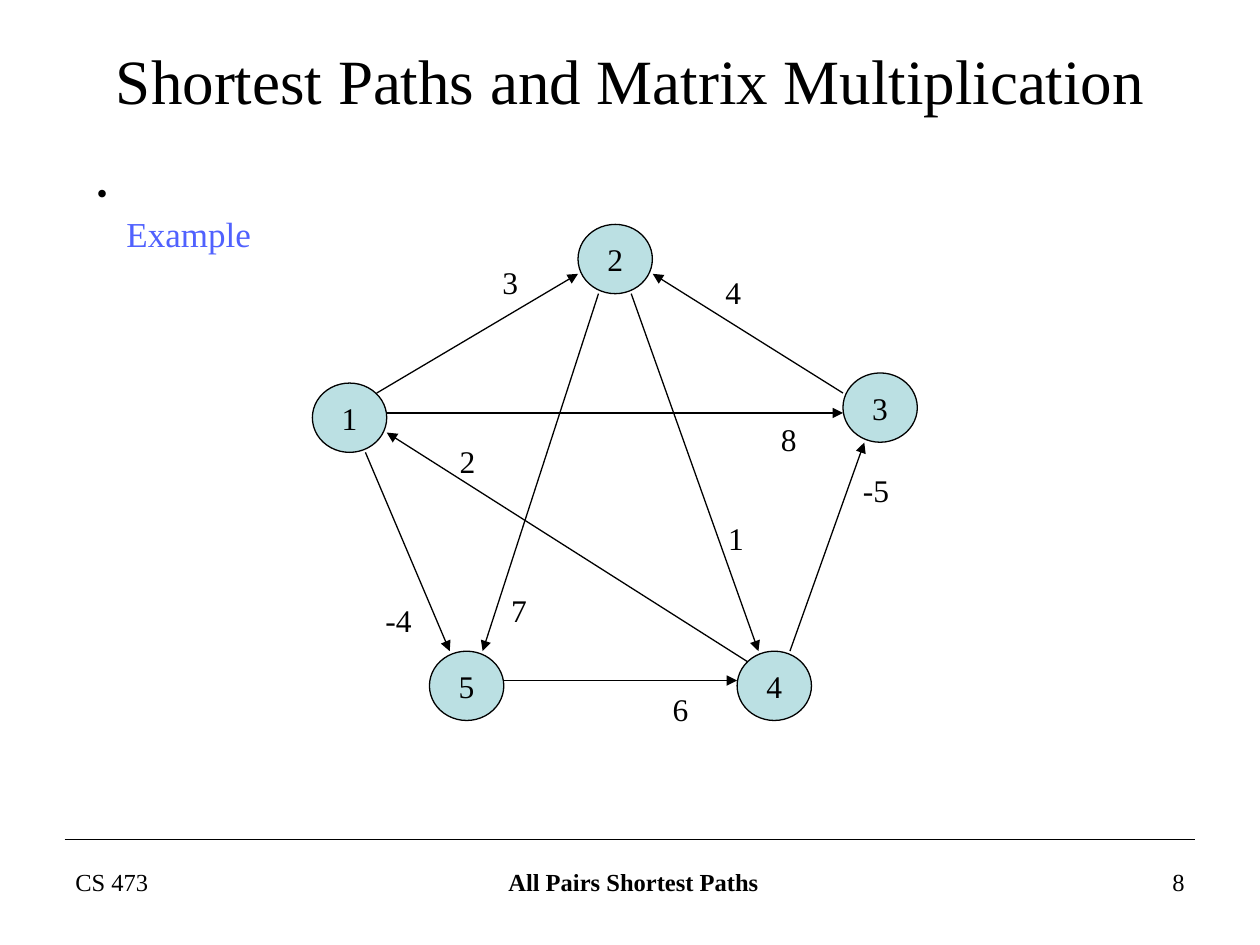
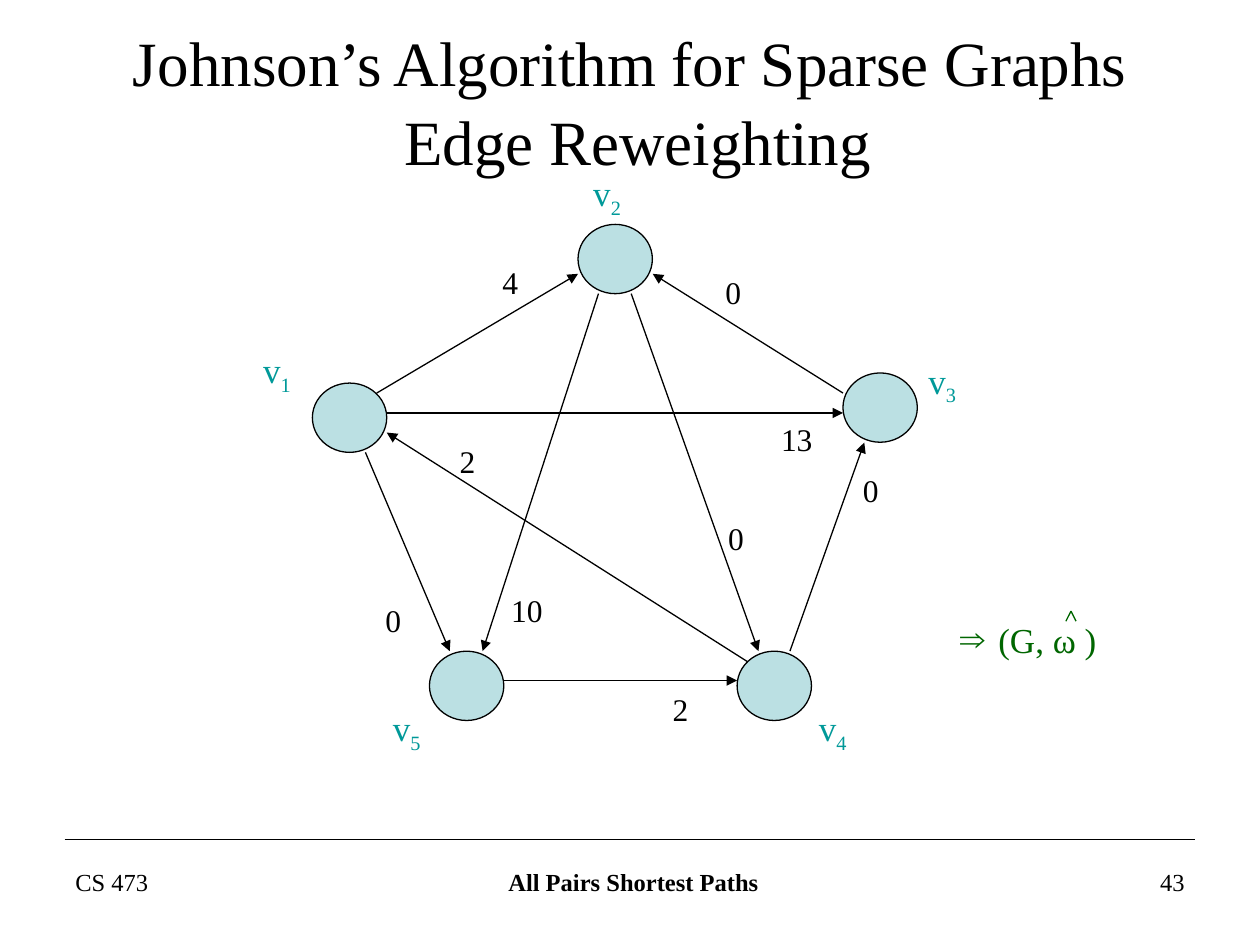
"""Build two slides showing weighted directed graphs for all-pairs shortest paths."""
from dataclasses import dataclass

from lxml import etree
from pptx import Presentation
from pptx.dml.color import RGBColor
from pptx.enum import shapes, text
from pptx.oxml import ns
from pptx.util import Pt


@dataclass(frozen=True)
class Theme:
    font: str = "Times New Roman"
    ink: str = "000000"
    node: str = "BBE0E3"
    example: str = "5061FE"
    vertex: str = "009999"
    result: str = "006600"
    title_size: int = 36
    lead_size: int = 28
    note_size: int = 20
    graph_size: int = 18
    footer_size: int = 14
    line_width: float = 0.75


theme = Theme()
LEFT, CENTER, RIGHT = text.PP_ALIGN.LEFT, text.PP_ALIGN.CENTER, text.PP_ALIGN.RIGHT


def write(slide, box, runs, size, color=theme.ink, align=LEFT, wrap=False, bullet=None):
    """Place a text box; each run is (text, overrides), and "\\n" breaks the line."""
    label = slide.shapes.add_textbox(*map(Pt, box))
    frame = label.text_frame
    frame.word_wrap = wrap
    paragraph = frame.paragraphs[0]
    paragraph.alignment = align
    if bullet:
        props = paragraph._p.get_or_add_pPr()
        props.set("marL", str(Pt(17)))
        props.set("indent", str(-Pt(17)))
        tint = etree.SubElement(props, ns.qn("a:buClr"))
        etree.SubElement(tint, ns.qn("a:srgbClr")).set("val", bullet[1])
        etree.SubElement(props, ns.qn("a:buFont")).set("typeface", theme.font)
        etree.SubElement(props, ns.qn("a:buChar")).set("char", bullet[0])
    for words, changes in runs:
        if words == "\n":
            paragraph.add_line_break()
            continue
        run = paragraph.add_run()
        run.text = words
        run.font.name = theme.font
        run.font.size = Pt(changes.get("size", size))
        run.font.bold = changes.get("bold", False)
        run.font.color.rgb = RGBColor.from_string(color)
        if "baseline" in changes:
            run._r.get_or_add_rPr().set("baseline", str(changes["baseline"]))
    return frame


def draw_line(slide, start, end, color=theme.ink, arrow=False):
    """Draw a thin straight line, with an arrowhead at its end if asked."""
    link = slide.shapes.add_connector(
        shapes.MSO_CONNECTOR.STRAIGHT, *map(Pt, (*start, *end)))
    link.line.width = Pt(theme.line_width)
    link.line.color.rgb = RGBColor.from_string(color)
    if arrow:
        stroke = link.line._get_or_add_ln()
        etree.SubElement(stroke, ns.qn("a:tailEnd")).set("type", "triangle")
    etree.SubElement(link._element.spPr, ns.qn("a:effectLst"))


node_size = (42.5, 39.6)
nodes = {1: (178.5, 218.9), 2: (330.3, 128.2), 3: (481.7, 213.1),
         4: (421.2, 372.1), 5: (245.4, 372.1)}
vertex_labels = {1: (143.3, 195.8), 2: (331.9, 94.3), 3: (523.4, 201.6),
                 4: (460.8, 400.3), 5: (217.4, 400.3)}

# (tail, head): start, end, weight position
edges = {
    (1, 2): ((215.3, 224.6), (330.3, 156.5), (280, 146.9)),
    (3, 2): ((481.7, 224.6), (373, 156.5), (407.5, 152.6)),
    (4, 3): ((451.4, 372.1), (493.9, 252.9), (486, 265.7)),
    (5, 4): ((288, 388.9), (421.2, 388.9), (377.3, 391)),
    (1, 5): ((208.8, 258.5), (257, 372.1), (213.1, 339.8)),
    (2, 5): ((342, 167.8), (275.8, 372.1), (285, 334)),
    (2, 4): ((360.7, 167.8), (433.4, 372.1), (409, 293)),
    (4, 1): ((427, 378), (221, 247.2), (255.6, 249.1)),
    (1, 3): ((221, 236), (481.7, 236), (439.2, 236.2)),
}

pages = [
    dict(number="8", title_box=(25.2, 27.4, 663.1, 33.8), numbered=True,
         title=[(" ", {"size": theme.lead_size}),
                ("Shortest Paths and Matrix Multiplication", {})],
         weights=["3", "4", "-5", "6", "-4", "7", "1", "2", "8"]),
    dict(number="43", title_box=(36, 34.6, 648, 43.9), numbered=False,
         title=[("Johnson’s Algorithm for Sparse Graphs", {}), ("\n", {}),
                (" Edge Reweighting", {})],
         weights=["4", "0", "0", "2", "0", "10", "0", "2", "13"]),
]

deck = Presentation()
deck.slide_width, deck.slide_height = Pt(720), Pt(540)

for page in pages:
    slide = deck.slides.add_slide(deck.slide_layouts[6])

    draw_line(slide, (36.9, 479.7), (683.1, 479.7))
    footers = [
        ((36, 491.8, 167.8, 37.4), [("CS 473", {})], LEFT),
        ((246.2, 491.8, 228.2, 37.4),
         [(" ", {}), ("All Pairs Shortest Paths", {"bold": True})], CENTER),
        ((516.2, 491.8, 167.8, 37.4), [(page["number"], {})], RIGHT),
    ]
    for box, runs, align in footers:
        write(slide, box, runs, theme.footer_size, align=align, wrap=True)

    heading = write(slide, page["title_box"], page["title"], theme.title_size,
                    align=CENTER, wrap=True)
    heading.vertical_anchor = text.MSO_ANCHOR.MIDDLE
    heading.margin_left = heading.margin_right = Pt(0)
    heading.margin_top = heading.margin_bottom = Pt(0)
    heading.paragraphs[0].line_spacing = 1.05

    for vertex, corner in nodes.items():
        circle = slide.shapes.add_shape(
            shapes.MSO_SHAPE.OVAL, *map(Pt, corner + node_size))
        circle.shadow.inherit = False
        circle.fill.solid()
        circle.fill.fore_color.rgb = RGBColor.from_string(theme.node)
        circle.line.color.rgb = RGBColor.from_string(theme.ink)
        circle.line.width = Pt(theme.line_width)
        if page["numbered"]:
            circle.text_frame.word_wrap = False
            circle.text_frame.vertical_anchor = text.MSO_ANCHOR.MIDDLE
            paragraph = circle.text_frame.paragraphs[0]
            paragraph.alignment = CENTER
            digit = paragraph.add_run()
            digit.text = str(vertex)
            digit.font.name = theme.font
            digit.font.size = Pt(theme.graph_size)
            digit.font.color.rgb = RGBColor.from_string(theme.ink)
        else:
            write(slide, (*vertex_labels[vertex], 30.2, 34.6),
                  [("v", {}), (str(vertex), {"baseline": -25000})],
                  theme.note_size, theme.vertex)

    for (start, end, spot), weight in zip(edges.values(), page["weights"]):
        draw_line(slide, start, end, arrow=True)
        width = 14.4 + sum(6 if mark == "-" else 9 for mark in weight)
        write(slide, (*spot, width, 28.8), [(weight, {})], theme.graph_size)

matrix_slide, johnson_slide = deck.slides
write(matrix_slide, (48.2, 96.3, 103.7, 31.7), [("\n", {}), ("Example", {})],
      theme.note_size, theme.example, wrap=True, bullet=("•", theme.ink))
write(johnson_slide, (541.4, 349.8, 123.1, 31.7), [(" (G, ω )", {})],
      theme.note_size, theme.result, wrap=True, bullet=("⇒", theme.result))
for hat_foot in (609.1, 614.9):
    draw_line(johnson_slide, (612, 349.2), (hat_foot, 355), theme.result)

deck.save("out.pptx")
